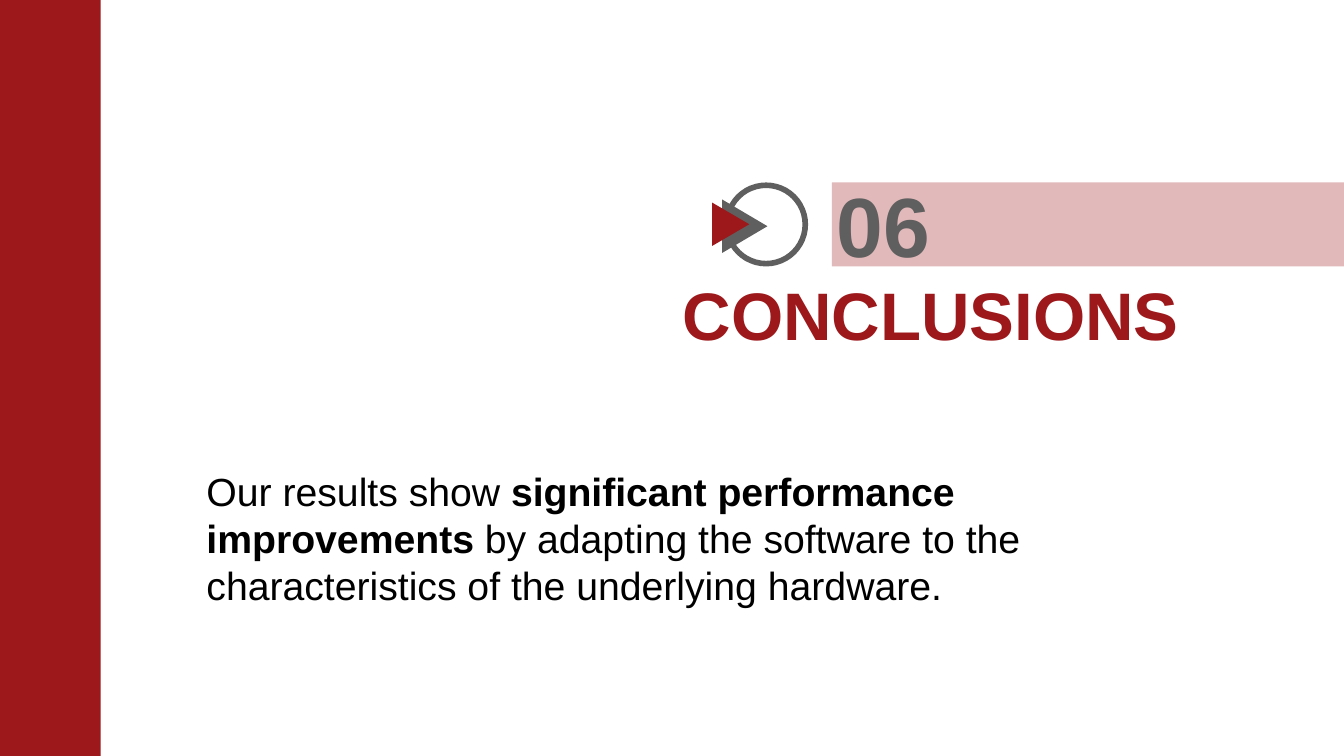
from lxml.etree import SubElement as Sub
from pptx import Presentation
from pptx.dml.color import RGBColor
from pptx.enum.shapes import MSO_SHAPE as Form
from pptx.enum.text import PP_ALIGN as Align
from pptx.oxml.ns import qn
from pptx.util import Pt

WIDE, HIGH = 960, 540
RED = RGBColor(0x9D, 0x18, 0x1B)
GRAY = RGBColor(0x5F, 0x5F, 0x5F)
BLACK = RGBColor(0, 0, 0)


def add_form(slide, form, box, color, turn=0):
    shape = slide.shapes.add_shape(form, *map(Pt, box))
    shape.shadow.inherit = False
    shape.fill.solid()
    shape.fill.fore_color.rgb = color
    shape.line.fill.background()
    shape.rotation = turn
    return shape


def add_text(slide, box, runs, align=Align.LEFT, space=None, **style):
    """Write (text, bold) runs as one paragraph in the box."""
    frame = slide.shapes.add_textbox(*map(Pt, box)).text_frame
    frame.word_wrap = True
    para = frame.paragraphs[0]
    para.alignment = align
    para.line_spacing = space
    color = style.pop("color")
    for text, bold in runs:
        run = para.add_run()
        run.text = text
        run.font.color.rgb = color
        for key, value in {"name": "Arial", "bold": bold, **style}.items():
            setattr(run.font, key, value)


def add_icon(slide, left, top, size):
    """Draw a ring with two arrowheads pointing into it."""
    ring = add_form(slide, Form.DONUT, (left, top, size, size), GRAY)
    ring.adjustments[0] = 0.067
    heads = [(-4.3, 15.1, 38.2, 32.4, GRAY), (-10.8, 16.6, 31, 26.6, RED)]
    for x, y, wide, high, color in heads:
        box = (left + x, top + y, wide, high)
        add_form(slide, Form.ISOSCELES_TRIANGLE, box, color, 90)


def add_head(slide, left, top, number, title):
    """Place icon, number band and title; the band runs to the slide edge."""
    size = 60
    add_icon(slide, left + 60, top, size)
    start = left + 137
    band = add_form(slide, Form.RECTANGLE,
                    (start, top, WIDE - start, size), RED)
    tint = band.fill._xPr.find(".//" + qn("a:srgbClr"))
    Sub(tint, qn("a:alpha"), val="30000")
    add_text(slide, (start - 4.4, top - 10, 81.4, 80), [(number, True)],
             Align.RIGHT, size=Pt(60), color=GRAY)
    add_text(slide, (left, top + 61.5, 415.5, 62.6), [(title, True)],
             Align.CENTER, size=Pt(48), color=RED)


def add_body(slide, box):
    runs = [
        ("Our results show ", False),
        ("significant performance improvements", True),
        (" by adapting the software to the characteristics of the "
         "underlying hardware.", False),
    ]
    add_text(slide, box, runs, space=Pt(33.6), size=Pt(28), color=BLACK)


def main():
    deck = Presentation()
    deck.slide_width, deck.slide_height = Pt(WIDE), Pt(HIGH)
    slide = deck.slides.add_slide(deck.slide_layouts[6])
    add_form(slide, Form.RECTANGLE, (0, 0, 72, HIGH), RED)
    add_head(slide, 457.2, 130.3, "06", "CONCLUSIONS")
    add_body(slide, (140.4, 330.5, 605.5, 124.6))
    deck.save("out.pptx")


if __name__ == "__main__":
    main()
